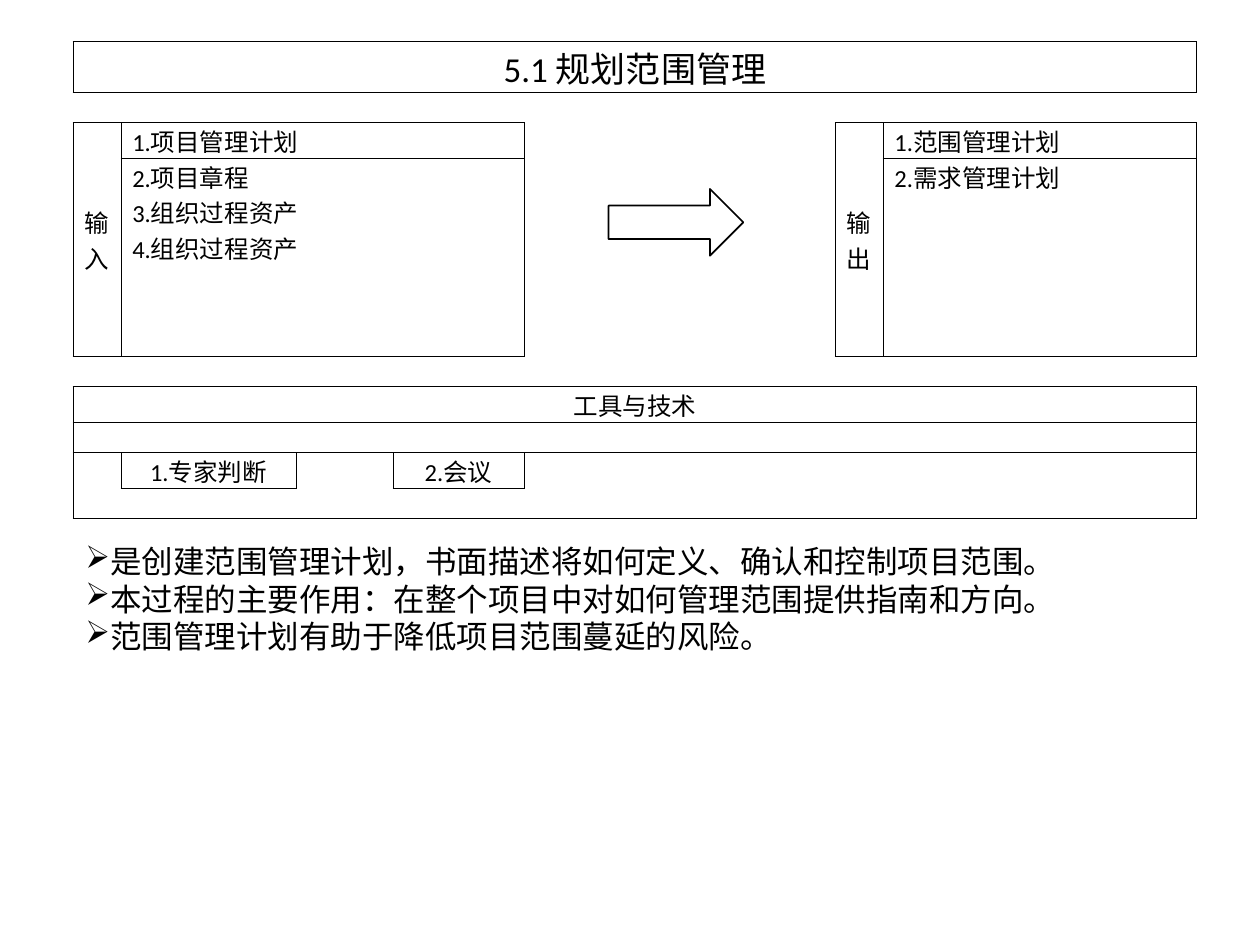
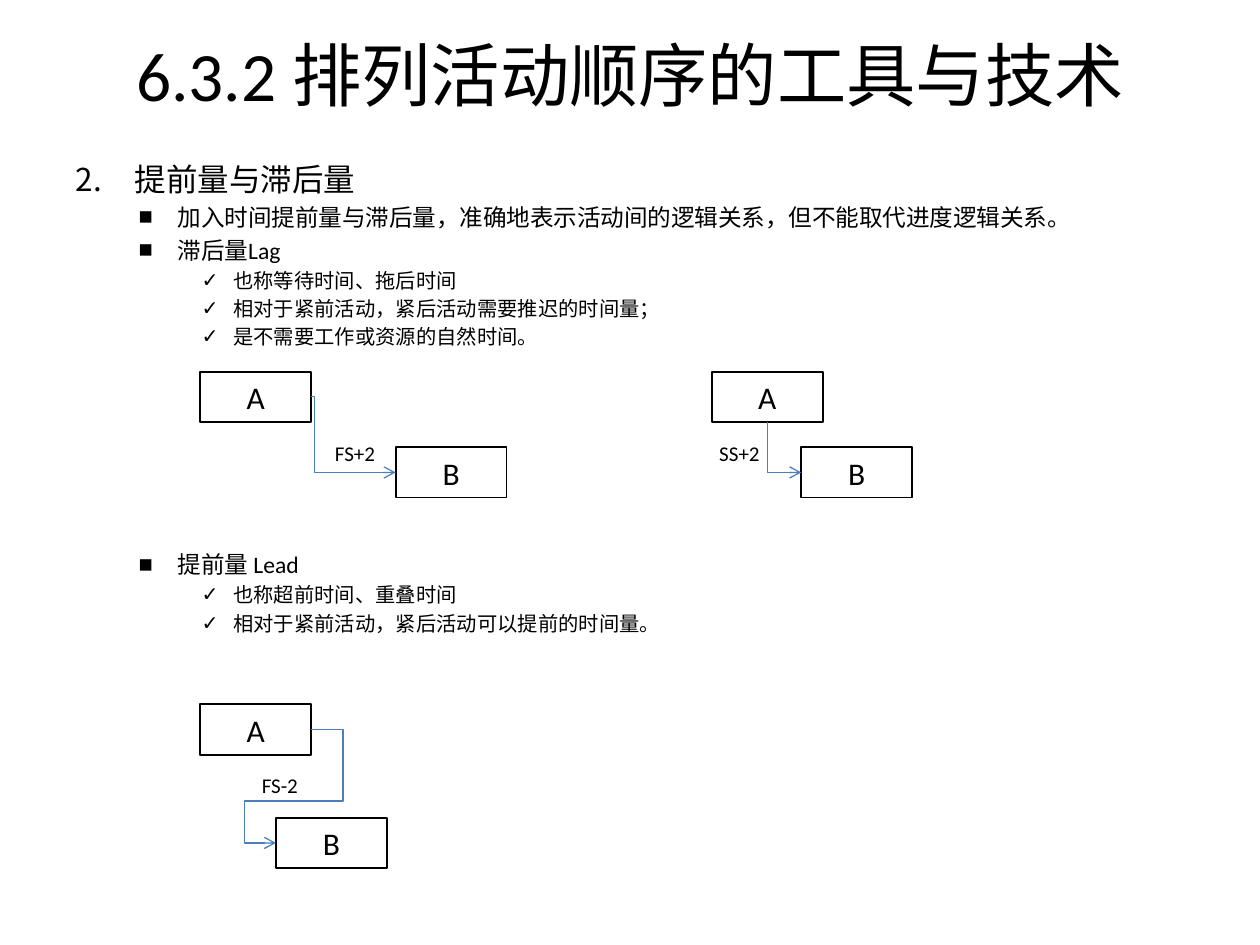
"""Build two project-management slides: a process table and activity sequencing."""
from lxml.etree import SubElement
from pptx import Presentation
from pptx.dml.color import RGBColor
from pptx.enum.shapes import MSO_CONNECTOR, MSO_SHAPE
from pptx.enum.text import MSO_ANCHOR, MSO_AUTO_SIZE, PP_ALIGN
from pptx.oxml.ns import qn
from pptx.util import Inches, Pt

COLOURS = {"ink": "000000", "link": "4B7EBC"}
FONT = "Calibri"
SLIDE_SIZE = (10, 7.5)

PROCESS_TITLE = "5.1 规划范围管理"
INPUTS = ["1.项目管理计划", "2.项目章程", "3.组织过程资产", "4.组织过程资产"]
OUTPUTS = ["1.范围管理计划", "2.需求管理计划"]
TOOLS_TITLE = "工具与技术"
TOOLS = {1: "1.专家判断", 3: "2.会议"}
PURPOSES = [
    "是创建范围管理计划，书面描述将如何定义、确认和控制项目范围。",
    "本过程的主要作用：在整个项目中对如何管理范围提供指南和方向。",
    "范围管理计划有助于降低项目范围蔓延的风险。",
]
SEQUENCE_TITLE = "6.3.2 排列活动顺序的工具与技术"
SEQUENCE_POINTS = [
    (0, "提前量与滞后量"),
    (1, "加入时间提前量与滞后量，准确地表示活动间的逻辑关系，但不能取代进度逻辑关系。"),
    (1, "滞后量Lag"),
    (2, "也称等待时间、拖后时间"),
    (2, "相对于紧前活动，紧后活动需要推迟的时间量；"),
    (2, "是不需要工作或资源的自然时间。"),
    (1, "提前量 Lead"),
    (2, "也称超前时间、重叠时间"),
    (2, "相对于紧前活动，紧后活动可以提前的时间量。"),
]
DIAGRAM_GAP = {"提前量 Lead": 115}
LEVELS = [
    {"size": 18, "margin": 0.47, "hang": 0.47, "bullet": None},
    {"size": 13.5, "margin": 0.81, "hang": 0.31, "bullet": "■"},
    {"size": 11.6, "margin": 1.25, "hang": 0.25, "bullet": "✓"},
]
TOP, LEFT, BOTTOM, RIGHT = range(4)
DEPENDENCIES = [
    {"A": (1.59, 2.95), "B": (3.14, 3.55), "label": "FS+2", "label_at": (2.56, 3.45),
     "exit": RIGHT, "route": "bentConnector3", "adjust": [3700]},
    {"A": (5.65, 2.95), "B": (6.36, 3.55), "label": "SS+2", "label_at": (5.61, 3.45),
     "exit": BOTTOM, "route": "bentConnector2", "adjust": []},
    {"A": (1.59, 5.59), "B": (2.19, 6.49), "label": "FS-2", "label_at": (1.98, 6.08),
     "exit": RIGHT, "route": "bentConnector5", "adjust": [-89900, 63000, 189900]},
]
NODE_SIZE = (0.88, 0.4)

TABLE_AT = (0.58, 0.33)
COLUMNS = [0.38, 1.39, 0.77, 1.04, 0.77, 1.7, 0.38, 0.77, 0.77, 0.95]
ROWS = [0.4, 0.24] + [0.28] * 4 + [0.24] * 4 + [0.28, 0.24, 0.28, 0.24]
LIST_ROWS = range(2, 9)
NO_STYLE = "{2D5ABB26-0587-4C30-8999-92F81FD0307C}"


def colour(name):
    return RGBColor.from_string(COLOURS[name])


def box(position, size):
    return [Inches(length) for length in (*position, *size)]


def write(paragraph, text, size, align=PP_ALIGN.LEFT):
    paragraph.alignment = align
    run = paragraph.add_run()
    run.text = text
    for name, value in {"name": FONT, "size": Pt(size)}.items():
        setattr(run.font, name, value)
    run.font.color.rgb = colour("ink")


def bullet(paragraph, character, margin=0, hang=0):
    properties = paragraph._p.get_or_add_pPr()
    properties.set("marL", str(Inches(margin)))
    properties.set("indent", str(-Inches(hang)))
    if character:
        SubElement(properties, qn("a:buChar"), char=character)
    else:
        SubElement(properties, qn("a:buAutoNum"), type="arabicPeriod", startAt="2")


def outline(shape):
    shape.shadow.inherit = False
    shape.fill.background()
    shape.line.color.rgb = colour("ink")
    shape.line.width = Pt(1)


def table_blocks():
    """Yield row, column, row span, column span, sides, text, size, align, inset."""
    centre, left = PP_ALIGN.CENTER, PP_ALIGN.LEFT
    yield 0, 0, 1, 10, "LRTB", PROCESS_TITLE, 20, centre, 0
    for column, heading, items in [(0, "输入", INPUTS), (6, "输出", OUTPUTS)]:
        yield LIST_ROWS[0], column, len(LIST_ROWS), 1, "LRTB", heading, 14, centre, 0
        for index, row in enumerate(LIST_ROWS):
            sides = "LR" + "T" * (index == 0) + "B" * (row == LIST_ROWS[-1])
            text = items[index] if index < len(items) else ""
            yield row, column + 1, 1, 3, sides, text, 14, left, 0.09
    yield 10, 0, 1, 10, "LRTB", TOOLS_TITLE, 14, centre, 0
    for row in range(11, 14):
        for column in range(10):
            edges = {"L": column == 0, "R": column == 9, "T": row == 11, "B": row == 13}
            sides = "".join(side for side, drawn in edges.items() if drawn)
            tool = TOOLS.get(column, "") if row == 12 else ""
            yield row, column, 1, 1, "LRTB" if tool else sides, tool, 14, centre, 0


def add_border(cell, side):
    line = SubElement(cell._tc.get_or_add_tcPr(), qn(f"a:ln{side}"), w=str(Pt(0.5)))
    fill = SubElement(line, qn("a:solidFill"))
    SubElement(fill, qn("a:srgbClr"), val=COLOURS["ink"])


def add_process_table(slide):
    size = (sum(COLUMNS), sum(ROWS))
    frame = slide.shapes.add_table(len(ROWS), len(COLUMNS), *box(TABLE_AT, size))
    table = frame.table
    table.first_row = table.horz_banding = False
    table._tbl.tblPr.find(qn("a:tableStyleId")).text = NO_STYLE
    for column, width in zip(table.columns, COLUMNS):
        column.width = Inches(width)
    for row, height in zip(table.rows, ROWS):
        row.height = Inches(height)
    for cell in table.iter_cells():
        for side in ("left", "right", "top", "bottom"):
            setattr(cell, f"margin_{side}", 0)
        cell.vertical_anchor = MSO_ANCHOR.MIDDLE
    for row, column, down, across, sides, text, points, align, inset in table_blocks():
        origin = table.cell(row, column)
        if down * across > 1:
            origin.merge(table.cell(row + down - 1, column + across - 1))
        origin.margin_left = Inches(inset)
        if text:
            write(origin.text_frame.paragraphs[0], text, points, align)
        for y in range(row, row + down):
            for x in range(column, column + across):
                for side in sides:
                    add_border(table.cell(y, x), side)
    for cell in table.iter_cells():
        cell.fill.background()
        SubElement(cell.text_frame.paragraphs[0]._p, qn("a:endParaRPr"), sz="1400")


def build_process_slide(presentation):
    slide = presentation.slides.add_slide(presentation.slide_layouts[6])
    add_process_table(slide)
    outline(slide.shapes.add_shape(MSO_SHAPE.RIGHT_ARROW, *box((4.83, 1.5), (1.07, 0.53))))
    frame = slide.shapes.add_textbox(*box((0.58, 4.25), (7.98, 1.62))).text_frame
    frame.word_wrap = False
    for index, purpose in enumerate(PURPOSES):
        paragraph = frame.add_paragraph() if index else frame.paragraphs[0]
        bullet(paragraph, "➢")
        write(paragraph, purpose, 18)


def add_node(slide, name, position):
    node = slide.shapes.add_shape(MSO_SHAPE.RECTANGLE, *box(position, NODE_SIZE))
    outline(node)
    write(node.text_frame.paragraphs[0], name, 18, PP_ALIGN.CENTER)
    return node


def turn_down_then_right(connector):
    across, down = connector.width, connector.height
    shift = (down - across) // 2
    connector.left, connector.top = connector.left - shift, connector.top + shift
    connector.width, connector.height = down, across
    transform = connector._element.spPr.find(qn("a:xfrm"))
    transform.set("rot", "16200000")
    transform.set("flipH", "1")


def add_dependency(slide, dependency):
    first, second = (add_node(slide, name, dependency[name]) for name in "AB")
    connector = slide.shapes.add_connector(MSO_CONNECTOR.ELBOW, 0, 0, 0, 0)
    connector.begin_connect(first, dependency["exit"])
    connector.end_connect(second, LEFT)
    if dependency["exit"] == BOTTOM:
        turn_down_then_right(connector)
    connector.line.color.rgb = colour("link")
    connector.line.width = Pt(0.75)
    properties = connector._element.spPr
    SubElement(properties.find(qn("a:ln")), qn("a:tailEnd"), type="arrow")
    SubElement(properties, qn("a:effectLst"))
    geometry = properties.find(qn("a:prstGeom"))
    geometry.set("prst", dependency["route"])
    guides = geometry.find(qn("a:avLst"))
    for number, value in enumerate(dependency["adjust"], 1):
        SubElement(guides, qn("a:gd"), name=f"adj{number}", fmla=f"val {value}")
    label = slide.shapes.add_textbox(*box(dependency["label_at"], (0.58, 0.3)))
    label.text_frame.word_wrap = True
    write(label.text_frame.paragraphs[0], dependency["label"], 12)


def place(shape, position, size):
    for name, value in zip(("left", "top", "width", "height"), box(position, size)):
        setattr(shape, name, value)
    shape.text_frame.auto_size = MSO_AUTO_SIZE.NONE
    return shape.text_frame


def build_sequence_slide(presentation):
    slide = presentation.slides.add_slide(presentation.slide_layouts[1])
    title = place(slide.shapes.title, (0.5, 0.3), (9, 0.57))
    title.vertical_anchor = MSO_ANCHOR.MIDDLE
    write(title.paragraphs[0], SEQUENCE_TITLE, 39.6, PP_ALIGN.CENTER)
    body = place(slide.placeholders[1], (0.5, 1.22), (9, 5.48))
    for index, (depth, text) in enumerate(SEQUENCE_POINTS):
        paragraph = body.add_paragraph() if index else body.paragraphs[0]
        level = LEVELS[depth]
        paragraph.level = depth
        bullet(paragraph, level["bullet"], level["margin"], level["hang"])
        gap = DIAGRAM_GAP.get(text, level["size"] * 0.2)
        paragraph.space_before = Pt(gap if index else 0)
        write(paragraph, text, level["size"])
    for dependency in DEPENDENCIES:
        add_dependency(slide, dependency)


def main():
    presentation = Presentation()
    presentation.slide_width, presentation.slide_height = map(Inches, SLIDE_SIZE)
    build_process_slide(presentation)
    build_sequence_slide(presentation)
    presentation.save("out.pptx")


if __name__ == "__main__":
    main()
